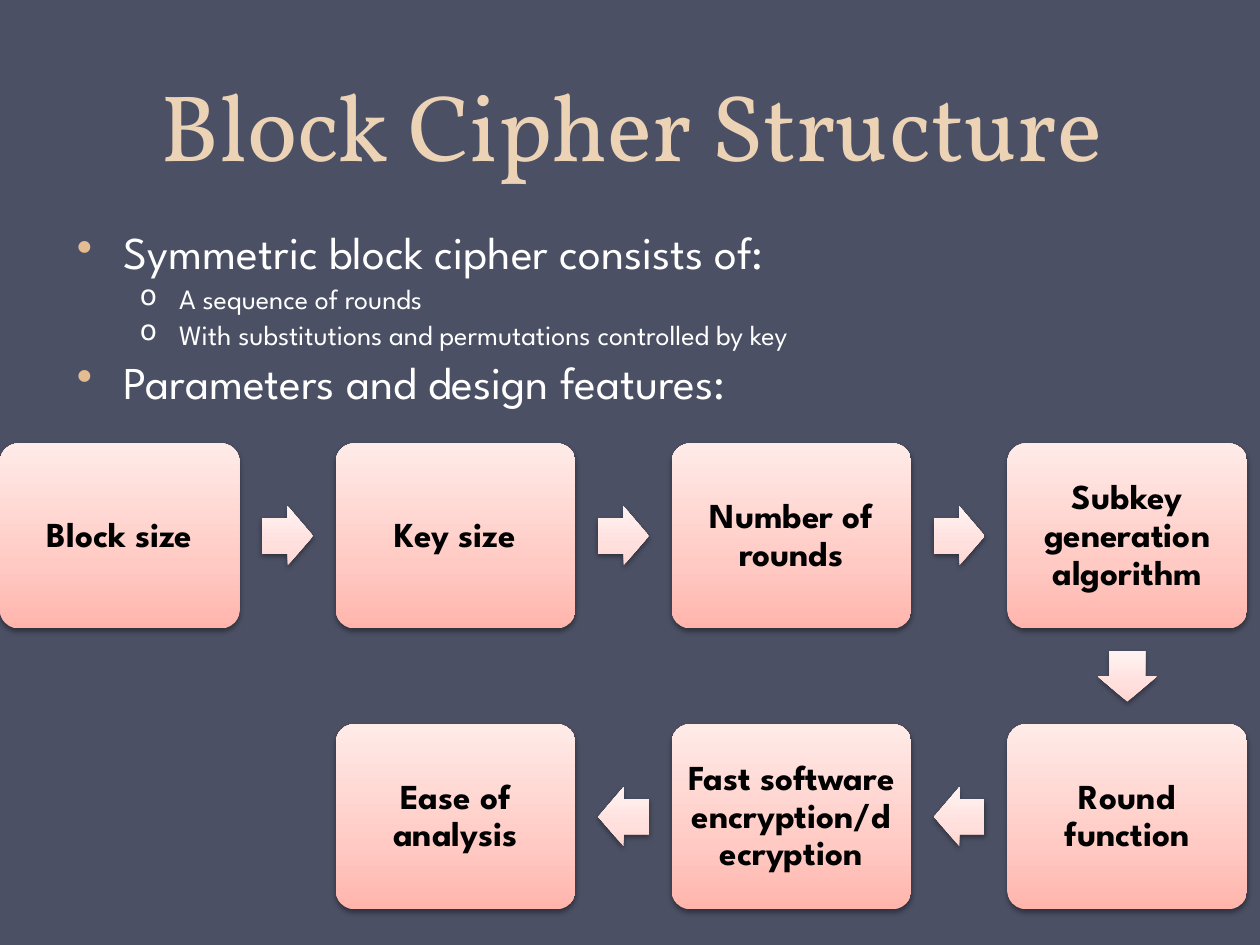
from copy import deepcopy
from dataclasses import dataclass

from pptx import Presentation
from pptx import util as u
from pptx.dml.color import RGBColor
from pptx.enum import shapes, text
from pptx.oxml import ns, parse_xml


@dataclass(frozen=True)
class Theme:
    background: str = "4B5064"
    title: str = "EDD3B6"
    body: str = "FFFFFF"
    bullet: str = "E3BC92"
    step: str = "000000"
    step_fill: tuple = ("FFB5AC", "FFCAC4", "FFEBE8")
    arrow_fill: tuple = ("FFD5D0", "FFE0DD", "FFF3F2")
    heading_font: str = "Vollkorn"
    body_font: str = "League Spartan"
    title_size: int = 54
    body_size: int = 26
    detail_size: int = 16
    step_size: int = 20


THEME = Theme()
COLUMNS = 4
STEP_WIDTH, STEP_HEIGHT = 4.83, 3.73
COLUMN_PITCH, ROW_PITCH = 6.77, 5.66
FLOW_TOP = 8.94
ARROW_WIDTH, ARROW_HEIGHT = 1.02, 1.19
BULLETS = [
    (0, "Symmetric block cipher consists of:"),
    (1, "A sequence of rounds"),
    (1, "With substitutions and permutations controlled by key"),
    (0, "Parameters and design features:"),
]
STEPS = [
    "Block size",
    "Key size",
    "Number of rounds",
    "Subkey generation algorithm",
    "Round function",
    "Fast software encryption/decryption",
    "Ease of analysis",
]


def apply_format(target, values):
    for name, value in values.items():
        setattr(target, name, value)


def write(paragraph, content, font, size, color, bold=False, **values):
    apply_format(paragraph, values)
    run = paragraph.add_run()
    run.text = content
    apply_format(run.font, {"name": font, "size": u.Pt(size), "bold": bold})
    run.font.color.rgb = RGBColor.from_string(color)


def add_frame(slide, left, top, width, height, **values):
    box = slide.shapes.add_textbox(u.Cm(left), u.Cm(top), u.Cm(width), u.Cm(height))
    apply_format(box.text_frame, {"word_wrap": True, **values})
    return box.text_frame


def add_bullet(paragraph, character, color, margin, hanging):
    properties = paragraph._p.get_or_add_pPr()
    properties.set("marL", str(u.Cm(margin)))
    properties.set("indent", str(-u.Cm(hanging)))
    for element in (
        f'<a:buClr {ns.nsdecls("a")}><a:srgbClr val="{color}"/></a:buClr>',
        f'<a:buChar {ns.nsdecls("a")} char="{character}"/>',
    ):
        properties.append(parse_xml(element))


def add_title(slide):
    frame = add_frame(slide, 1.3, -0.69, 22.86, 4.45,
                      vertical_anchor=text.MSO_ANCHOR.BOTTOM)
    write(frame.paragraphs[0], "Block Cipher Structure", THEME.heading_font,
          THEME.title_size, THEME.title,
          alignment=text.PP_ALIGN.CENTER, line_spacing=u.Pt(58))


def add_bullets(slide):
    frame = add_frame(slide, 1.3, 4.52, 22.86, 6.15)
    levels = [
        (THEME.body_size, "•", THEME.bullet, 0.95, 0.95),
        (THEME.detail_size, "o", THEME.body, 2.06, 0.79),
    ]
    for index, (level, content) in enumerate(BULLETS):
        size, *bullet = levels[level]
        paragraph = frame.add_paragraph() if index else frame.paragraphs[0]
        add_bullet(paragraph, *bullet)
        write(paragraph, content, THEME.body_font, size, THEME.body,
              level=level, line_spacing=0.9,
              space_before=u.Pt(0.2 * size if index else 0))


def fill_gradient(shape, colors):
    shape.fill.gradient()
    shape.fill.gradient_angle = 90
    gradient = shape._element.spPr.find(ns.qn("a:gradFill"))
    gradient.set("rotWithShape", "0")
    stop_list = gradient.find(ns.qn("a:gsLst"))
    stop_list.append(deepcopy(stop_list[0]))
    for stop, position, color in zip(shape.fill.gradient_stops, (0, 0.35, 1), colors):
        stop.position = position
        stop.color.rgb = RGBColor.from_string(color)


def add_shadow(shape):
    shape.shadow.inherit = False
    shape._element.spPr.find(ns.qn("a:effectLst")).append(parse_xml(
        f'<a:outerShdw {ns.nsdecls("a")} blurRad="{u.Pt(3.1)}" dist="{u.Pt(1.6)}" '
        'dir="5400000" rotWithShape="0"><a:srgbClr val="000000">'
        '<a:alpha val="38000"/></a:srgbClr></a:outerShdw>'))


def add_flow_shape(slide, kind, center, width, height, adjustments, colors):
    x, y = center
    shape = slide.shapes.add_shape(kind, u.Cm(x - width / 2), u.Cm(y - height / 2),
                                   u.Cm(width), u.Cm(height))
    for index, value in enumerate(adjustments):
        shape.adjustments[index] = value
    fill_gradient(shape, colors)
    shape.line.fill.background()
    add_shadow(shape)
    return shape


def add_step(slide, center, label):
    shape = add_flow_shape(slide, shapes.MSO_SHAPE.ROUNDED_RECTANGLE, center,
                           STEP_WIDTH, STEP_HEIGHT, [0.1], THEME.step_fill)
    sides = ("left", "top", "right", "bottom")
    apply_format(shape.text_frame, {
        "word_wrap": True,
        "vertical_anchor": text.MSO_ANCHOR.MIDDLE,
        **{f"margin_{side}": u.Cm(0.2) for side in sides},
    })
    write(shape.text_frame.paragraphs[0], label, THEME.body_font, THEME.step_size,
          THEME.step, bold=True, alignment=text.PP_ALIGN.CENTER, line_spacing=0.9)


def add_arrow(slide, start, end):
    center = [(a + b) / 2 for a, b in zip(start, end)]
    shape = add_flow_shape(slide, shapes.MSO_SHAPE.RIGHT_ARROW, center,
                           ARROW_WIDTH, ARROW_HEIGHT, [0.6, 0.5], THEME.arrow_fill)
    if end[1] > start[1]:
        shape.rotation = 90
    elif end[0] < start[0]:
        shape.rotation = 180


def step_center(index):
    row, column = divmod(index, COLUMNS)
    if row % 2:
        column = COLUMNS - 1 - column
    return (STEP_WIDTH / 2 + column * COLUMN_PITCH,
            FLOW_TOP + STEP_HEIGHT / 2 + row * ROW_PITCH)


def add_flow(slide):
    centers = [step_center(index) for index in range(len(STEPS))]
    for center, label in zip(centers, STEPS):
        add_step(slide, center, label)
    for start, end in zip(centers, centers[1:]):
        add_arrow(slide, start, end)


def main():
    presentation = Presentation()
    apply_format(presentation, {"slide_width": u.Cm(25.4), "slide_height": u.Cm(19.05)})
    slide = presentation.slides.add_slide(presentation.slide_layouts[6])
    slide.background.fill.solid()
    slide.background.fill.fore_color.rgb = RGBColor.from_string(THEME.background)
    add_title(slide)
    add_bullets(slide)
    add_flow(slide)
    presentation.save("out.pptx")


if __name__ == "__main__":
    main()
